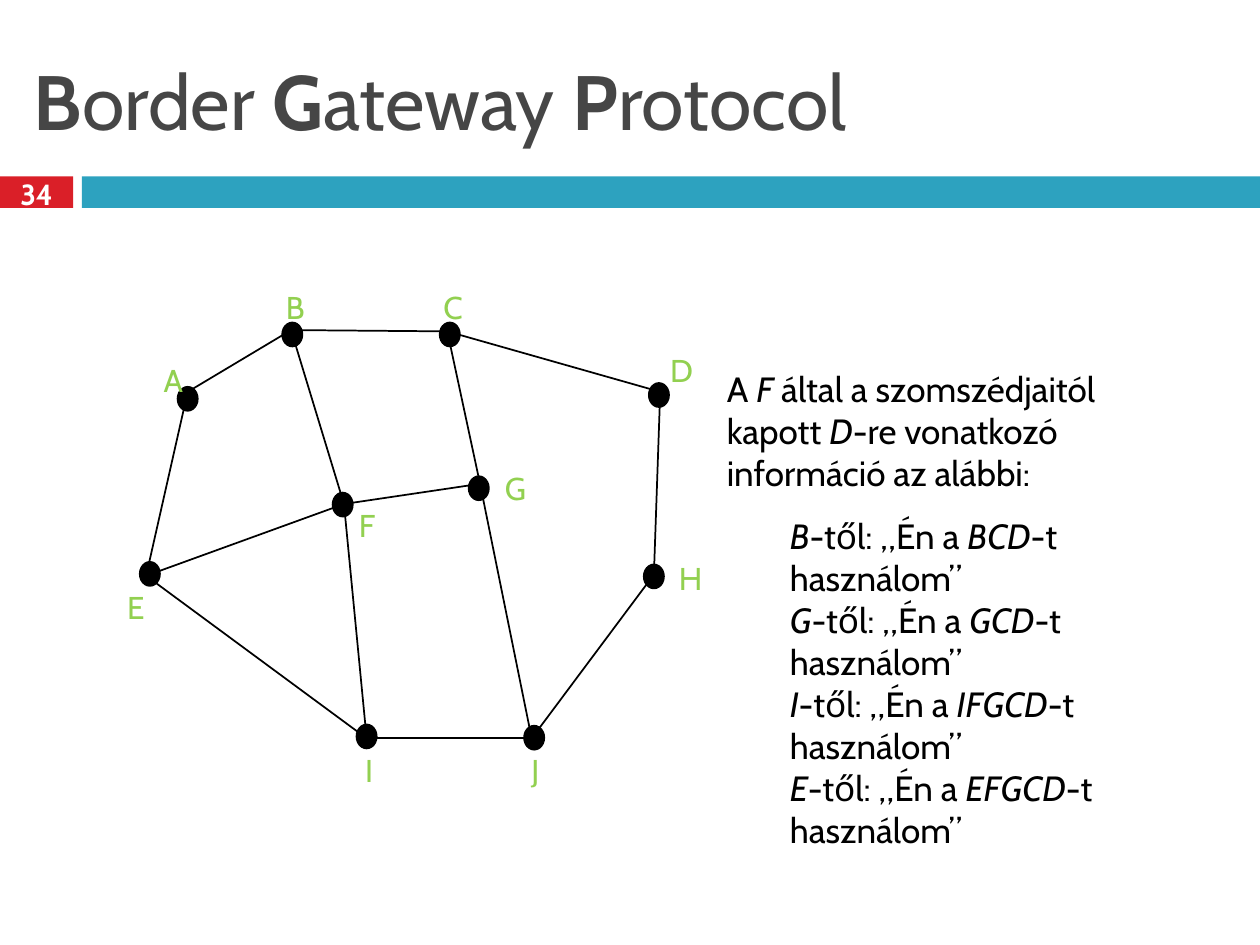
from pptx import Presentation
from pptx.dml.color import RGBColor
from pptx.enum.shapes import MSO_CONNECTOR as CONN, MSO_SHAPE as SHAPE
from pptx.enum.text import MSO_ANCHOR as ANCHOR, PP_ALIGN as ALIGN
from pptx.oxml.ns import qn
from pptx.util import Inches, Pt
from lxml.etree import SubElement

COLORS = {"black": "000000", "title": "464646", "red": "DA1F28",
          "teal": "2DA2BF", "green": "92D050", "white": "FFFFFF"}

JOINTS = {"A": (1.49, 3.11), "B": (2.31, 2.62), "C": (3.55, 2.63), "D": (5.24, 3.11),
          "E": (1.16, 4.57), "F": (2.73, 4), "G": (3.81, 3.84), "H": (5.19, 4.56),
          "I": (2.91, 5.86), "J": (4.22, 5.86)}
DOTS = {"A": (1.41, 3.07), "B": (2.24, 2.56), "C": (3.49, 2.56), "D": (5.15, 3.04),
        "E": (1.11, 4.46), "F": (2.64, 3.91), "G": (3.72, 3.78), "H": (5.11, 4.48),
        "I": (2.83, 5.75), "J": (4.16, 5.76)}
LABELS = {"A": (1.2, 2.82, 0.35), "B": (2.17, 2.24, 0.33), "C": (3.42, 2.24, 0.35),
          "D": (5.22, 2.74, 0.35), "E": (0.91, 4.62, 0.31), "F": (2.75, 3.97, 0.31),
          "G": (3.91, 3.67, 0.4), "H": (5.29, 4.39, 0.35), "I": (2.8, 5.91, 0.26),
          "J": (4.12, 5.91, 0.3)}
EDGES = "AE EI IJ EF AB BF FI BC FG CG GJ CD DH JH".split()
ROUTES = [("B", "től", "BCD"), ("G", "től", "GCD"), ("I", "től", "IFGCD"), ("E", "től", "EFGCD")]


class Deck:
    """Holds the text style and the current slide, and draws elements on it."""

    def __init__(self, prs, font):
        self.s = prs.slides.add_slide(prs.slide_layouts[6])
        self.font = font

    def color(self, name):
        return RGBColor.from_string(COLORS[name])

    def shape(self, kind, x, y, w, h, fill, outlined=False):
        sp = self.s.shapes.add_shape(kind, Inches(x), Inches(y), Inches(w), Inches(h))
        sp.shadow.inherit = False
        sp.fill.solid()
        sp.fill.fore_color.rgb = self.color(fill)
        if outlined:
            sp.line.color.rgb = self.color(fill)
            sp.line.width = Pt(1)
        else:
            sp.line.fill.background()

    def line(self, start, end):
        x1, y1, x2, y2 = map(Inches, start + end)
        ln = self.s.shapes.add_connector(CONN.STRAIGHT, x1, y1, x2, y2)
        ln.line.color.rgb = self.color("black")
        ln.line.width = Pt(1)
        SubElement(ln._element.spPr, qn("a:effectLst"))

    def text(self, x, y, w, h, content, size, color, anchor=ANCHOR.TOP, wrap=True):
        tf = self.s.shapes.add_textbox(Inches(x), Inches(y), Inches(w), Inches(h)).text_frame
        tf.word_wrap = wrap
        tf.vertical_anchor = anchor
        self.runs(tf.paragraphs[0], content, size, color)
        return tf

    def runs(self, p, content, size, color):
        for mark in ("_", "*"):
            if mark in content:
                break
        for i, part in enumerate(content.split(mark)):
            if part:
                r = p.add_run()
                r.text = part
                r.font.name = self.font
                r.font.size = Pt(size)
                r.font.color.rgb = self.color(color)
                r.font.bold = mark == "*" and i % 2 == 1
                r.font.italic = mark == "_" and i % 2 == 1

    def indented(self, tf, content, size, color, before=0):
        p = tf.add_paragraph()
        p.level = 1
        p.space_before = Pt(before)
        pPr = p._p.get_or_add_pPr()
        pPr.set("marL", str(Inches(0.5)))
        pPr.set("indent", "0")
        self.runs(p, content, size, color)


def main():
    prs = Presentation()
    prs.slide_width, prs.slide_height = Inches(10), Inches(7.5)
    deck = Deck(prs, "Cabin")

    deck.shape(SHAPE.RECTANGLE, 0, 1.4, 0.58, 0.25, "red")
    deck.shape(SHAPE.RECTANGLE, 0.65, 1.4, 9.35, 0.25, "teal")
    deck.text(0.17, 0.25, 9.67, 1.08, "*B*order *G*ateway *P*rotocol", 44, "title", ANCHOR.MIDDLE)

    for start, end in EDGES:
        deck.line(JOINTS[start], JOINTS[end])
    for x, y in DOTS.values():
        deck.shape(SHAPE.OVAL, x, y, 0.16, 0.19, "black", outlined=True)
    for name, (x, y, w) in LABELS.items():
        deck.text(x, y, w, 0.4, name, 18, "green", wrap=False)

    tf = deck.text(5.67, 2.87, 3.8, 4.64,
                   "A _F_ által a szomszédjaitól kapott _D_-re vonatkozó információ az alábbi:",
                   20, "black")
    for i, (node, suffix, route) in enumerate(ROUTES):
        deck.indented(tf, f"_{node}_-{suffix}: „Én a _{route}_-t használom”", 20, "black",
                      before=0 if i else 12)

    number = deck.text(0, 1.37, 0.58, 0.33, "*34*", 16.6, "white", ANCHOR.MIDDLE)
    number.paragraphs[0].alignment = ALIGN.CENTER
    prs.save("out.pptx")


if __name__ == "__main__":
    main()
